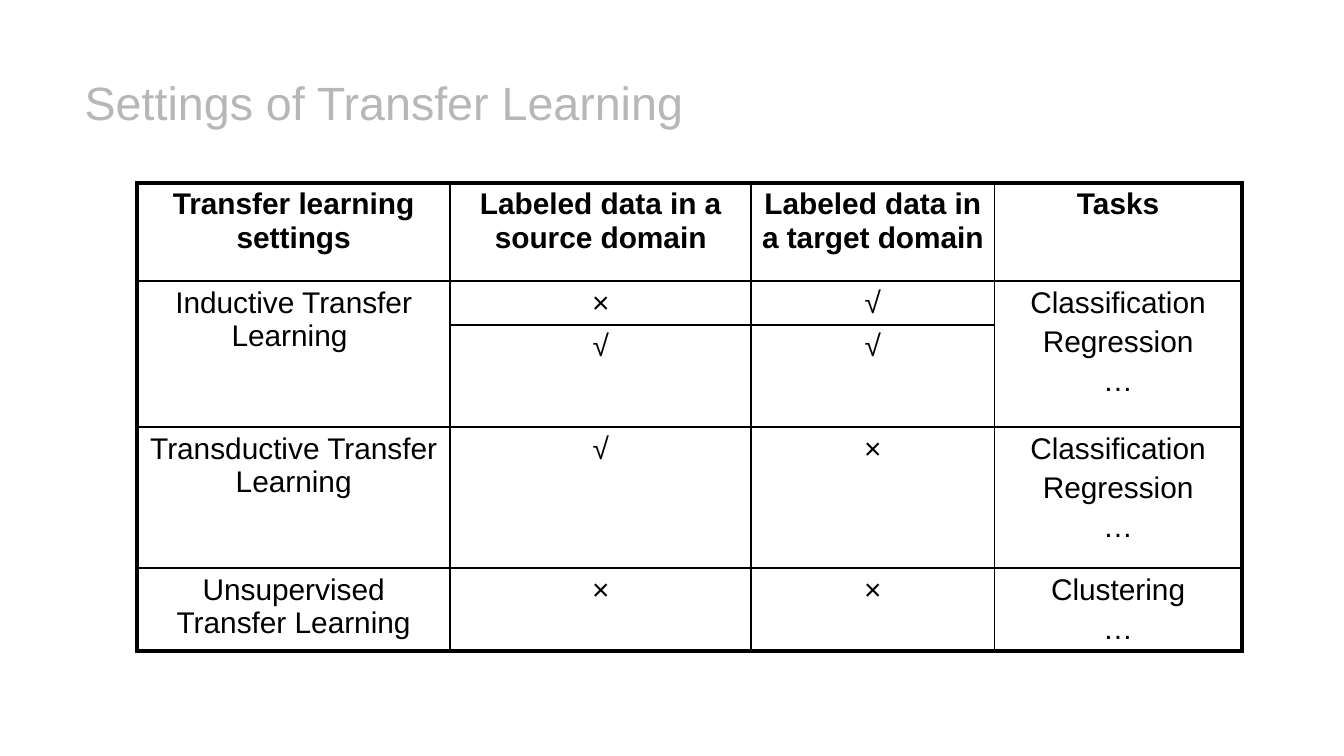
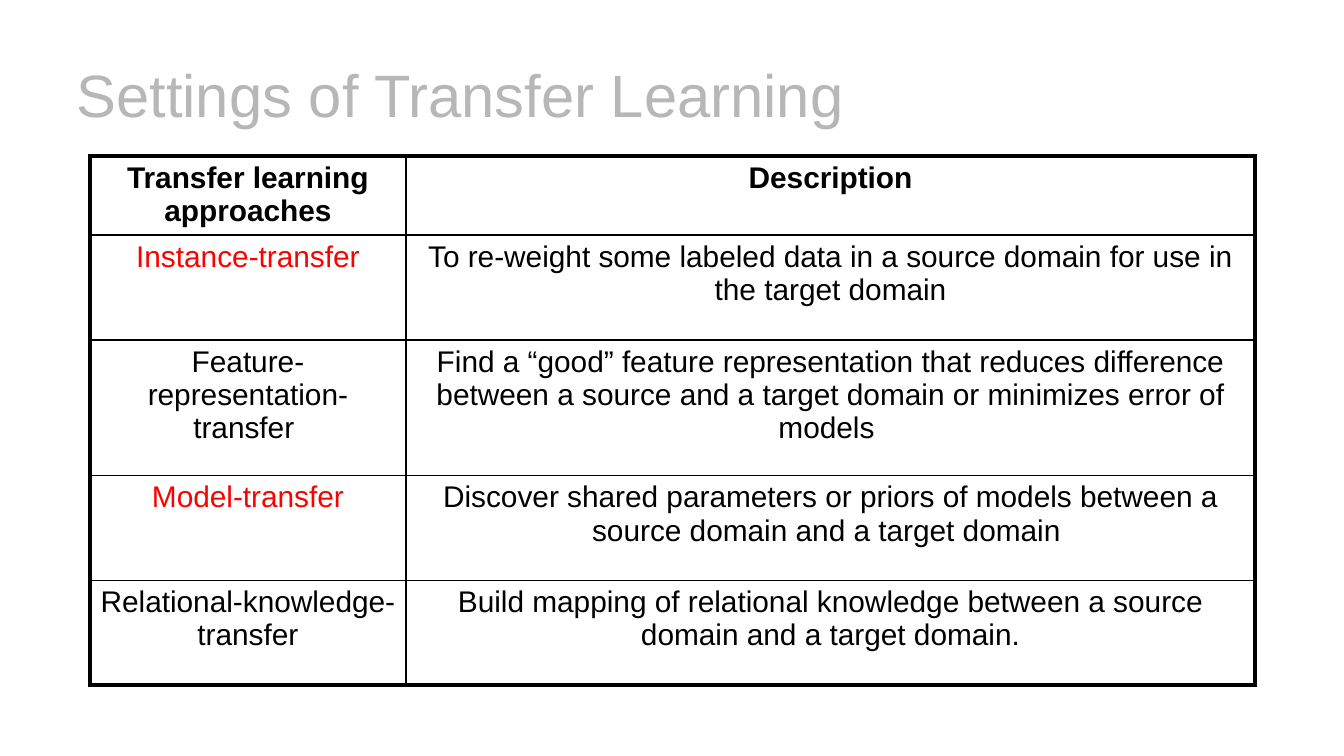
import pptx
import pptx.dml.color
import pptx.enum.text
import pptx.oxml
import pptx.oxml.ns
import pptx.util

Inches = pptx.util.Inches
Pt = pptx.util.Pt

FONT = "Arial"
BLACK, GREY, RED = "000000", "B7B7B7", "FF0000"
THIN, THICK = 1, 2.25
TITLE = "Settings of Transfer Learning"
TASKS = "Classification\nRegression\n…"

SLIDES = [
    {
        "title_box": (0.56, 0.44, 8.48, 0.63),
        "title_size": 25,
        "table_at": (1.02, 1.36),
        "cols": [2.33, 2.24, 1.81, 1.84],
        "heights": [0.73, 0.29, 0.76, 1.05, 0.55],
        "merges": [((1, 0), (2, 0)), ((1, 3), (2, 3))],
        "highlights": [],
        "rows": [
            ["Transfer learning settings", "Labeled data in a source domain",
             "Labeled data in a target domain", "Tasks"],
            ["Inductive Transfer Learning ", "×", "√", TASKS],
            [None, "√", "√", None],
            ["Transductive Transfer Learning", "√", "×", TASKS],
            ["Unsupervised Transfer Learning", "×", "×", "Clustering\n…"],
        ],
    },
    {
        "title_box": (0.5, 0.23, 9, 0.94),
        "title_size": 32,
        "table_at": (0.67, 1.16),
        "cols": [2.35, 6.32],
        "heights": [0.59, 0.78, 1.01, 0.78, 0.78],
        "merges": [],
        "highlights": ["Instance-transfer", "Model-transfer"],
        "rows": [
            ["Transfer learning approaches", "Description"],
            ["Instance-transfer",
             "To re-weight some labeled data in a source domain for use in the target domain"],
            ["Feature-representation-transfer ",
             "Find a “good” feature representation that reduces difference between "
             "a source and a target domain or minimizes error of models "],
            ["Model-transfer",
             "Discover shared parameters or priors of models between a source domain "
             "and a target domain "],
            ["Relational-knowledge-transfer",
             "Build mapping of relational knowledge between a source domain and a target domain."],
        ],
    },
]


def rgb(value):
    return pptx.dml.color.RGBColor.from_string(value)


def set_attrs(obj, values):
    for name, value in values.items():
        setattr(obj, name, value)


def set_margins(obj):
    set_attrs(obj, {
        "margin_left": Inches(0.07), "margin_right": Inches(0.07),
        "margin_top": Inches(0.04), "margin_bottom": Inches(0.04),
    })


def write(p, text, size, color, bold=False):
    r = p.add_run()
    r.text = text
    set_attrs(r.font, {"name": FONT, "size": Pt(size), "bold": bold})
    r.font.color.rgb = rgb(color)


def add_title(s, box, size):
    sp = s.shapes.title
    set_attrs(sp, dict(zip(("left", "top", "width", "height"), map(Inches, box))))
    tf = sp.text_frame
    set_margins(tf)
    set_attrs(tf, {
        "word_wrap": True,
        "auto_size": pptx.enum.text.MSO_AUTO_SIZE.NONE,
        "vertical_anchor": pptx.enum.text.MSO_ANCHOR.MIDDLE,
    })
    p = tf.paragraphs[0]
    p.alignment = pptx.enum.text.PP_ALIGN.LEFT
    write(p, TITLE, size, GREY)


def set_borders(cell, widths):
    for side, width in widths.items():
        cell._tc.get_or_add_tcPr().append(pptx.oxml.parse_xml(
            f'<a:ln{side} {pptx.oxml.ns.nsdecls("a")} w="{Pt(width)}">'
            f'<a:solidFill><a:srgbClr val="{BLACK}"/></a:solidFill></a:ln{side}>'))


def set_space_before(p, percent):
    p._p.get_or_add_pPr().append(pptx.oxml.parse_xml(
        f'<a:spcBef {pptx.oxml.ns.nsdecls("a")}>'
        f'<a:spcPct val="{percent * 1000}"/></a:spcBef>'))


def fill_cell(cell, text, header, color):
    set_margins(cell)
    cell.vertical_anchor = pptx.enum.text.MSO_ANCHOR.TOP
    tf = cell.text_frame
    for i, line in enumerate(text.split("\n")):
        p = tf.add_paragraph() if i else tf.paragraphs[0]
        p.alignment = pptx.enum.text.PP_ALIGN.CENTER
        set_space_before(p, 20)
        write(p, line, 16, color, header)


def add_table(s, layout):
    rows, cols, heights = layout["rows"], layout["cols"], layout["heights"]
    size = sum(cols), sum(heights)
    table = s.shapes.add_table(len(rows), len(cols),
                               *map(Inches, layout["table_at"] + size)).table
    set_attrs(table, {"first_row": False, "horz_banding": False})
    for column, width in zip(table.columns, cols):
        column.width = Inches(width)
    for row, height in zip(table.rows, heights):
        row.height = Inches(height)
    for first, last in layout["merges"]:
        table.cell(*first).merge(table.cell(*last))
    for i, row in enumerate(rows):
        for j, text in enumerate(row):
            cell = table.cell(i, j)
            outer = {"L": j == 0, "R": j == len(cols) - 1,
                     "T": i == 0, "B": i == len(rows) - 1}
            set_borders(cell, {side: THICK if edge else THIN for side, edge in outer.items()})
            cell.fill.background()
            if text is not None:
                fill_cell(cell, text, i == 0, RED if text in layout["highlights"] else BLACK)


def main():
    prs = pptx.Presentation()
    prs.slide_width = Inches(10)
    prs.slide_height = prs.slide_width * 9 // 16
    for content in SLIDES:
        s = prs.slides.add_slide(prs.slide_layouts[5])
        add_title(s, content["title_box"], content["title_size"])
        add_table(s, content)
    prs.save("out.pptx")


if __name__ == "__main__":
    main()
